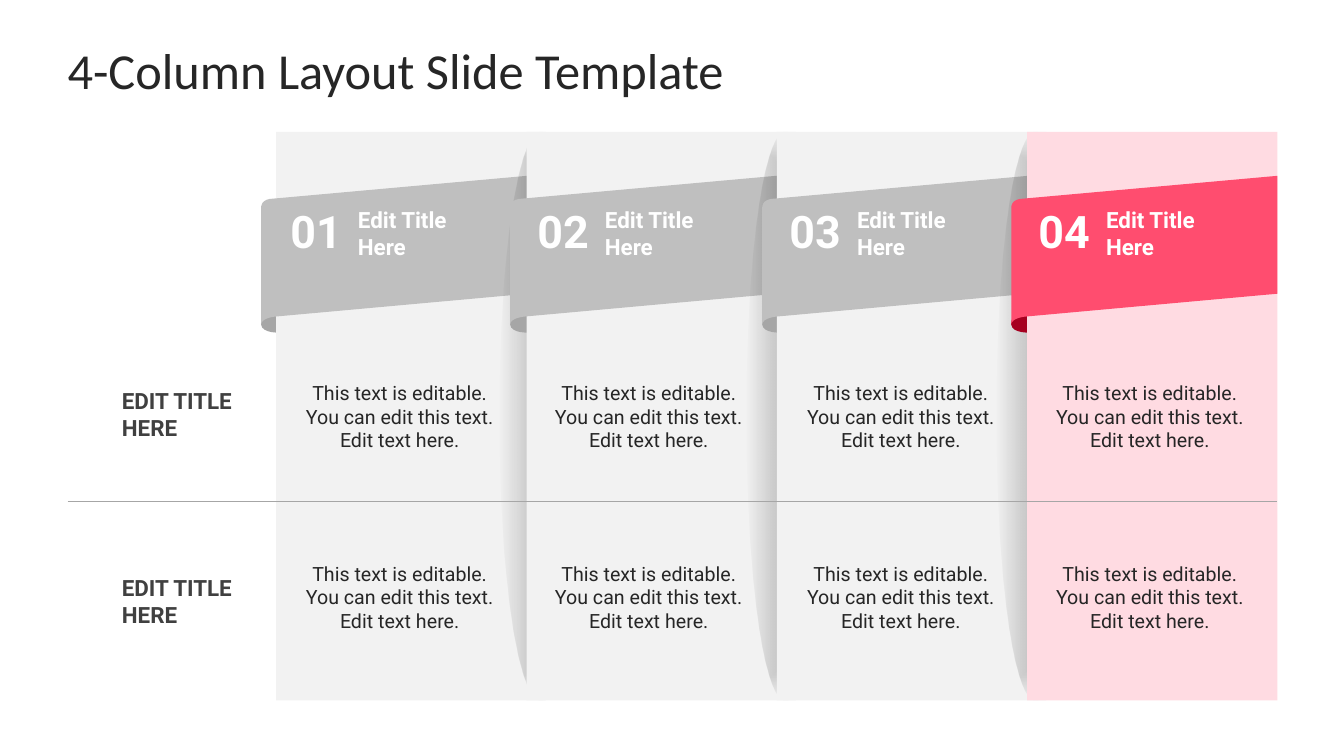
import dataclasses

import pptx
import pptx.dml.color
import pptx.enum.shapes
import pptx.enum.text
import pptx.oxml
import pptx.oxml.ns
import pptx.util

COLORS = {
    "ink": "262626", "label": "404040", "white": "FFFFFF", "rule": "A6A6A6",
    "panel": "F2F2F2", "band": "BFBFBF", "fold": "A6A6A6",
    "pink_panel": "FFDBE2", "pink_band": "FF4D6F", "pink_fold": "A60020",
    "shadow": "000000",
}
SLIDE_WIDTH, SLIDE_HEIGHT = 13.33, 7.5
MARGIN, RIGHT_EDGE = 0.67, 12.67
PANEL_LEFT, PANEL_TOP, PANEL_HEIGHT = 2.74, 1.31, 5.64
COLUMN_STEP = (RIGHT_EDGE - PANEL_LEFT) / 4
OVERLAP = 0.19
RULE_Y = 4.98
BODY = "This text is editable. You can edit this text. Edit text here."
ROWS = [(4.13, 4.11), (5.92, 5.96)]
LEFT = pptx.enum.text.PP_ALIGN.LEFT
CENTER = pptx.enum.text.PP_ALIGN.CENTER
TOP = pptx.enum.text.MSO_ANCHOR.TOP
MIDDLE = pptx.enum.text.MSO_ANCHOR.MIDDLE
SHAPES = pptx.enum.shapes.MSO_SHAPE


@dataclasses.dataclass
class Column:
    number: str
    band_left: float
    number_left: float
    body_left: float
    shadow_width: float = 0
    shadow_reach: float = 0
    accent: str = ""


COLUMNS = [
    Column("01", 2.58, 2.86, 3, 0.82, 0.27),
    Column("02", 5.05, 5.31, 5.47, 0.77, 0.3),
    Column("03", 7.55, 7.81, 7.97, 0.77, 0.3),
    Column("04", 10.02, 10.28, 10.44, accent="pink_"),
]


def inches(*lengths):
    return [pptx.util.Inches(length) for length in lengths]


def color(name):
    return pptx.dml.color.RGBColor.from_string(COLORS[name])


def paint(shape, fill):
    shape.shadow.inherit = False
    shape.fill.solid()
    shape.fill.fore_color.rgb = color(fill)
    shape.line.fill.background()


def write(box, lines, size, fill, font="Roboto", bold=False, align=LEFT, anchor=TOP):
    frame = box.text_frame
    frame.word_wrap = True
    frame.auto_size = pptx.enum.text.MSO_AUTO_SIZE.NONE
    frame.vertical_anchor = anchor
    frame.margin_left = frame.margin_right = 0
    frame.margin_top = frame.margin_bottom = 0
    frame.text = "\n".join(lines)
    for para in frame.paragraphs:
        para.alignment = align
        para.font.name = font
        para.font.size = pptx.util.Pt(size)
        para.font.bold = bold
        para.font.color.rgb = color(fill)


def add_text(page, place, lines, size, fill, **style):
    write(page.shapes.add_textbox(*inches(*place)), lines, size, fill, **style)


def add_outline(page, left, start, segments, fill):
    corners = [tuple(inches(left + x, y)) for segment in segments for x, y in segment]
    builder = page.shapes.build_freeform(*inches(left + start[0], start[1]))
    builder.add_line_segments(corners, close=True)
    outline = builder.convert_to_shape()
    paint(outline, fill)
    lines = iter(list(outline.element.iter(pptx.oxml.ns.qn("a:lnTo"))))
    for segment in segments:
        first, *others = [next(lines) for _ in segment]
        if others:
            first.tag = pptx.oxml.ns.qn("a:cubicBezTo")
        for other in others:
            first.append(other[0])
            other.getparent().remove(other)


def add_fold(page, left, fill):
    tip, side, back, end = (0.2, 3.3), (0.01, 3.22), (0.05, 3.11), (0.23, 3.08)
    segments = [
        (tip, (0.02, 3.31), side),
        (side, (0, 3.17), back),
        ((0.11, 3.06), end, end),
    ]
    add_outline(page, left, tip, segments, fill)


def add_band(page, left, width, fill):
    upper, lower = (0.14, 1.97), (0.16, 3.14)
    upper_side, lower_side = (0.01, 2.06), (0.01, 3.22)
    rise = 0.09 * (width - upper[0])
    segments = [
        (upper_side, (0, 1.97), upper),
        ((width, upper[1] - rise),),
        ((width, lower[1] - rise),),
        (lower,),
        (lower, (0.01, 3.15), lower_side),
    ]
    add_outline(page, left, upper_side, segments, fill)


def add_panel(page, left, width, fill):
    place = inches(left, PANEL_TOP, width, PANEL_HEIGHT)
    paint(page.shapes.add_shape(SHAPES.RECTANGLE, *place), fill)


def add_shadow(page, left, width):
    middle = left + width / 2
    place = inches(middle - PANEL_HEIGHT / 2, PANEL_TOP + (PANEL_HEIGHT - width) / 2,
                   PANEL_HEIGHT, width)
    oval = page.shapes.add_shape(SHAPES.OVAL, *place)
    oval.rotation = 90
    paint(oval, "shadow")
    stops = "".join(
        f'<a:gs pos="{position}"><a:srgbClr val="{COLORS["shadow"]}">'
        f'<a:alpha val="{alpha}"/></a:srgbClr></a:gs>'
        for position, alpha in ((0, 22000), (100000, 0))
    )
    gradient = pptx.oxml.parse_xml(
        f'<a:gradFill {pptx.oxml.ns.nsdecls("a")} rotWithShape="1">'
        f'<a:gsLst>{stops}</a:gsLst><a:path path="shape">'
        '<a:fillToRect l="50000" t="50000" r="50000" b="50000"/></a:path></a:gradFill>'
    )
    properties = oval.element.spPr
    properties.replace(properties.find(pptx.oxml.ns.qn("a:solidFill")), gradient)


def add_column(page, index, column):
    left = PANEL_LEFT + index * COLUMN_STEP
    width = COLUMN_STEP if column.accent else COLUMN_STEP + OVERLAP
    band_width = RIGHT_EDGE - column.band_left if column.accent else 2.85
    add_fold(page, column.band_left, column.accent + "fold")
    add_panel(page, left, width, column.accent + "panel")
    add_band(page, column.band_left, band_width, column.accent + "band")
    if column.shadow_width:
        add_shadow(page, left + COLUMN_STEP - column.shadow_reach, column.shadow_width)


def add_column_text(page, column):
    add_text(page, (column.number_left, 2.02, 0.55, 0.55), [column.number], 32, "white",
             bold=True, align=CENTER)
    add_text(page, (column.number_left + 0.69, 2.05, 1.31, 0.97), ["Edit Title", "Here"],
             16, "white", bold=True)
    for body_middle, _ in ROWS:
        add_text(page, (column.body_left, body_middle - 0.75, 1.93, 1.5), [BODY], 14, "ink",
                 align=CENTER, anchor=MIDDLE)


def add_rule(page):
    rule = page.shapes.add_connector(
        pptx.enum.shapes.MSO_CONNECTOR.STRAIGHT,
        *inches(MARGIN, RULE_Y, RIGHT_EDGE, RULE_Y))
    rule.line.color.rgb = color("rule")
    rule.line.width = pptx.util.Pt(0.75)
    rule.element.spPr.append(
        pptx.oxml.parse_xml(f'<a:effectLst {pptx.oxml.ns.nsdecls("a")}/>'))


def add_title(page):
    title = page.shapes.title
    title.left, title.top, title.width, title.height = inches(MARGIN, 0.3, 12, 0.78)
    write(title, ["4-Column Layout Slide Template"], 36, "ink", font="Calibri", anchor=MIDDLE)


def main():
    deck = pptx.Presentation()
    deck.slide_width, deck.slide_height = inches(SLIDE_WIDTH, SLIDE_HEIGHT)
    page = deck.slides.add_slide(deck.slide_layouts.get_by_name("Title Only"))
    add_title(page)
    for index, column in enumerate(COLUMNS):
        add_column(page, index, column)
    add_rule(page)
    for column in COLUMNS:
        add_column_text(page, column)
    for _, label_middle in ROWS:
        add_text(page, (1.21, label_middle - 0.3, 1.44, 0.6), ["EDIT TITLE", "HERE"],
                 16, "label", bold=True, anchor=MIDDLE)
    deck.save("out.pptx")


if __name__ == "__main__":
    main()
